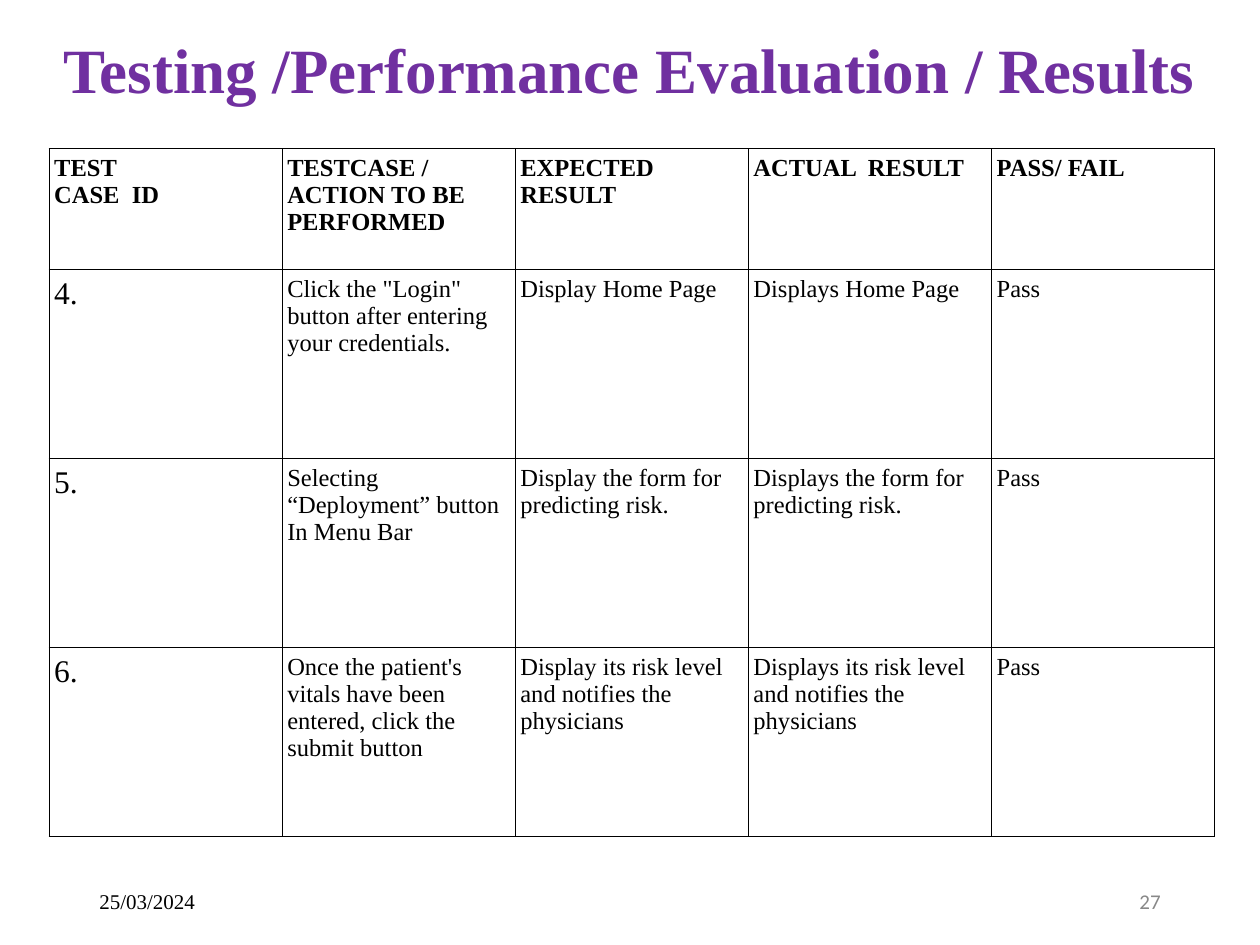
from lxml.etree import SubElement
from pptx import Presentation
from pptx.dml.color import RGBColor
from pptx.enum.text import MSO_ANCHOR, PP_ALIGN
from pptx.oxml.ns import qn
from pptx.util import Inches, Pt

PURPLE = RGBColor(0x70, 0x30, 0xA0)
BLACK = RGBColor(0, 0, 0)
GREY = RGBColor(0x88, 0x88, 0x88)
SERIF = "Times New Roman"

HEADINGS = ["TEST\nCASE  ID", "TESTCASE /\nACTION TO BE PERFORMED",
            "EXPECTED RESULT", "ACTUAL  RESULT", "PASS/ FAIL"]
TEST_CASES = [
    ["4.", 'Click the "Login" button after entering your credentials.',
     "Display Home Page", "Displays Home Page", "Pass"],
    ["5.", "Selecting “Deployment” button In Menu Bar",
     "Display the form for predicting risk.",
     "Displays the form for predicting risk.", "Pass"],
    ["6.", "Once the patient's vitals have been entered, click the submit button",
     "Display its risk level and notifies the physicians",
     "Displays its risk level and notifies the physicians", "Pass"],
]
COLUMN_WIDTHS = [1.85, 1.85, 1.85, 1.93, 1.77]
ROW_HEIGHTS = [0.96, 1.5, 1.5, 1.5]


def write(frame, text, size=14, color=BLACK, font=SERIF, bold=False,
          align=PP_ALIGN.LEFT, spacing=None):
    """Fill a text frame, one paragraph for each line of text."""
    frame.text = text
    frame.word_wrap = True
    for paragraph in frame.paragraphs:
        paragraph.alignment = align
        paragraph.line_spacing = spacing
        for run in paragraph.runs:
            run.font.size = Pt(size)
            run.font.name = font
            run.font.bold = bold
            run.font.color.rgb = color


class SlideBuilder:
    def __init__(self, slide, border=BLACK, border_width=0.57):
        self.slide = slide
        self.border = border
        self.border_width = border_width

    def title(self, text, left, top, width, height):
        heading = self.slide.shapes.title
        heading.left, heading.top = Inches(left), Inches(top)
        heading.width, heading.height = Inches(width), Inches(height)
        write(heading.text_frame, text, size=36, color=PURPLE, bold=True,
              align=PP_ALIGN.CENTER, spacing=0.9)
        heading.text_frame.vertical_anchor = MSO_ANCHOR.MIDDLE

    def footer(self, text, left, **style):
        box = self.slide.shapes.add_textbox(
            Inches(left), Inches(6.95), Inches(2.25), Inches(0.4))
        write(box.text_frame, text, size=12, **style)
        box.text_frame.vertical_anchor = MSO_ANCHOR.MIDDLE

    def outline(self, cell):
        properties = cell._tc.get_or_add_tcPr()
        for side in ("a:lnL", "a:lnR", "a:lnT", "a:lnB"):
            line = SubElement(properties, qn(side), w=str(Pt(self.border_width)))
            fill = SubElement(line, qn("a:solidFill"))
            SubElement(fill, qn("a:srgbClr"), val=str(self.border))

    def table(self, rows, left, top, widths, heights):
        grid = self.slide.shapes.add_table(
            len(rows), len(widths), Inches(left), Inches(top),
            Inches(sum(widths)), Inches(sum(heights))).table
        grid.horz_banding = False
        for column, width in zip(grid.columns, widths):
            column.width = Inches(width)
        for row, height in zip(grid.rows, heights):
            row.height = Inches(height)
        for r, texts in enumerate(rows):
            for c, text in enumerate(texts):
                cell = grid.cell(r, c)
                cell.margin_left = cell.margin_right = Inches(0.04)
                cell.margin_top = cell.margin_bottom = Inches(0.05)
                is_case_id = r > 0 and c == 0
                write(cell.text_frame, text, size=18 if is_case_id else 14,
                      bold=r == 0)
                self.outline(cell)
                cell.fill.background()


def main():
    deck = Presentation()
    deck.slide_width, deck.slide_height = Inches(10), Inches(7.5)
    builder = SlideBuilder(deck.slides.add_slide(deck.slide_layouts[5]))

    # Title
    builder.title("Testing /Performance Evaluation / Results",
                  0.37, 0.29, 9.25, 0.58)

    # Date and page number
    builder.footer("25/03/2024", 0.69)
    builder.footer("27", 7.06, font="Calibri", color=GREY, align=PP_ALIGN.RIGHT)

    # Test results
    builder.table([HEADINGS] + TEST_CASES, 0.39, 1.18,
                  COLUMN_WIDTHS, ROW_HEIGHTS)

    deck.save("out.pptx")


if __name__ == "__main__":
    main()
